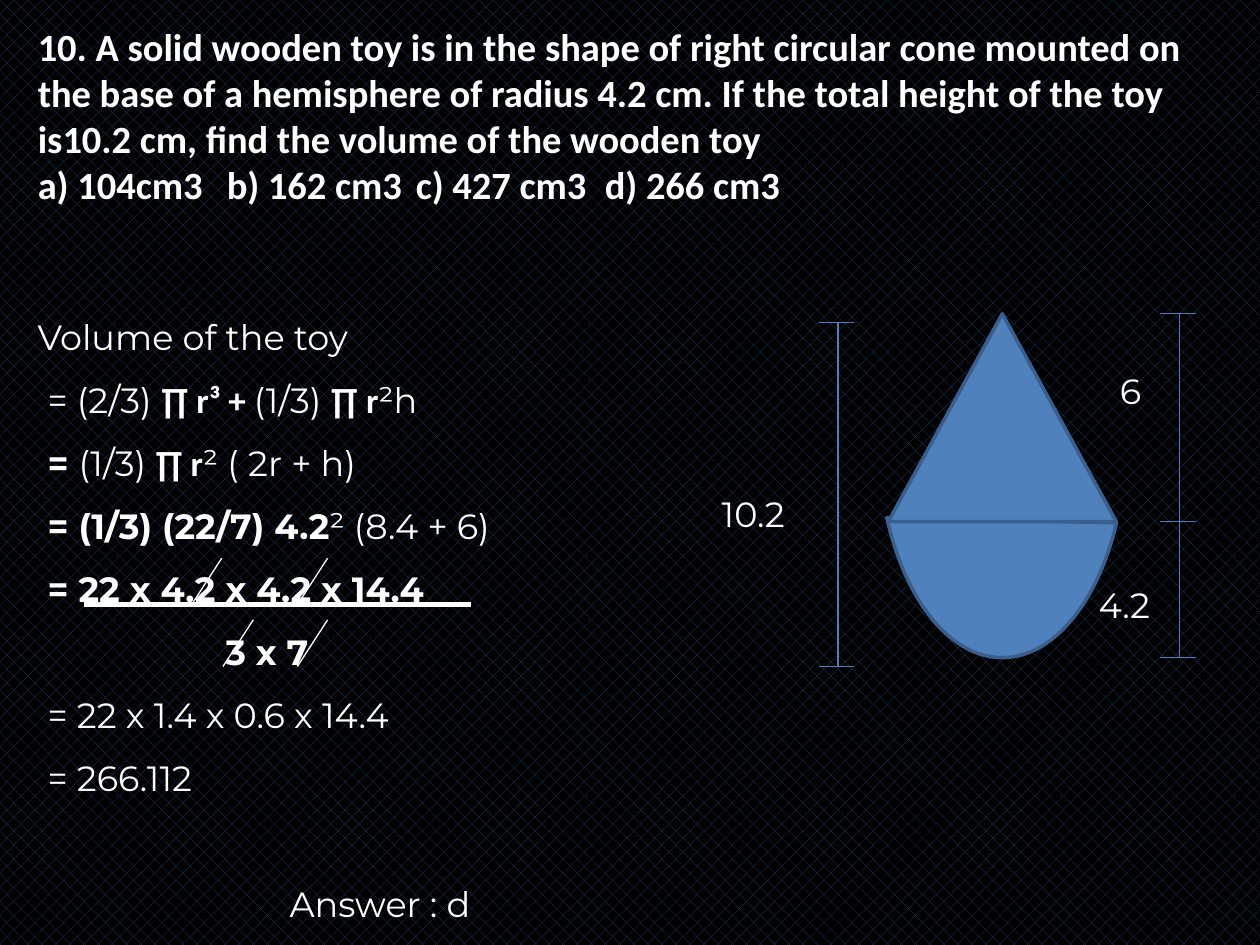
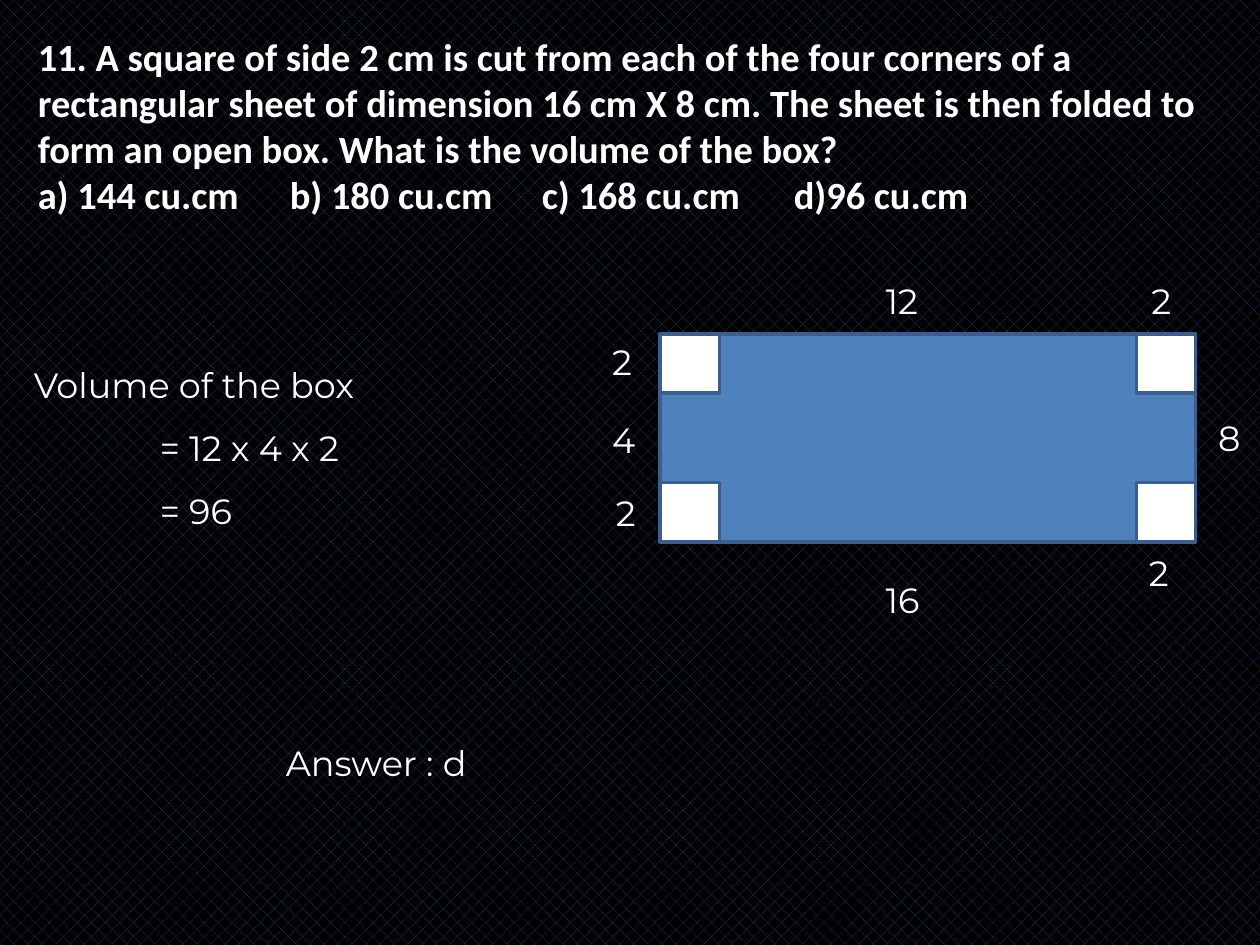
from dataclasses import dataclass
from itertools import product

from lxml import etree
from pptx import Presentation
from pptx.dml.color import RGBColor
from pptx.enum.dml import MSO_PATTERN
from pptx.enum.shapes import MSO_CONNECTOR, MSO_SHAPE
from pptx.enum.text import MSO_ANCHOR, MSO_AUTO_SIZE, PP_ALIGN
from pptx.oxml.ns import qn
from pptx.util import Inches, Pt

WHITE, BLACK, NAVY = "FFFFFF", "000000", "1F497D"
BLUE, OUTLINE, MEASURE = "4F81BD", "3A5F8C", "4B7EBC"
TITLE_FONT, BODY_FONT = "Calibri", "Montserrat"
TITLE_ONLY = 5
BOLD = dict(bold=True)
SYMBOL = dict(font=TITLE_FONT, bold=True)


@dataclass
class Step:
    """A line of text: its (text, format) runs, indent in inches, space before in points."""
    runs: list
    indent: float = 0
    before: float = 0


def step(text, indent=0, before=0, **style):
    return Step([(text, style)], indent, before)


def rgb(colour):
    return RGBColor.from_string(colour)


def inches(*values):
    return [Inches(value) for value in values]


def write(frame, steps, size=20, font=BODY_FONT, bold=False, spacing=None):
    frame.word_wrap = True
    frame.vertical_anchor = MSO_ANCHOR.TOP
    for i, line in enumerate(steps):
        paragraph = frame.paragraphs[0] if i == 0 else frame.add_paragraph()
        paragraph.alignment = PP_ALIGN.LEFT
        paragraph.line_spacing = spacing
        if line.indent:
            paragraph._p.get_or_add_pPr().set("marL", str(Inches(line.indent)))
        if line.before:
            paragraph.space_before = Pt(line.before)
        for text, style in line.runs:
            run = paragraph.add_run()
            run.text = text
            run.font.size = Pt(size)
            run.font.name = style.get("font", font)
            run.font.bold = style.get("bold", bold)
            run.font.color.rgb = rgb(WHITE)


def add_text(slide, box, steps, **style):
    frame = slide.shapes.add_textbox(*inches(*box)).text_frame
    write(frame, steps, **style)
    frame.auto_size = MSO_AUTO_SIZE.SHAPE_TO_FIT_TEXT


def add_labels(slide, left, top, labels):
    """Place number labels given as (text, x, y, width) from the figure's corner."""
    for text, x, y, width in labels:
        add_text(slide, (left + x, top + y, width, 0.44), [step(text)])


def add_solid(slide, preset, box, fill=BLUE):
    solid = slide.shapes.add_shape(preset, *inches(*box))
    solid.shadow.inherit = False
    solid.fill.solid()
    solid.fill.fore_color.rgb = rgb(fill)
    solid.line.color.rgb = rgb(OUTLINE)
    solid.line.width = Pt(2)
    return solid


def add_line(slide, x1, y1, x2, y2, colour=WHITE, width=0.75):
    line = slide.shapes.add_connector(MSO_CONNECTOR.STRAIGHT, *inches(x1, y1, x2, y2))
    line.line.color.rgb = rgb(colour)
    line.line.width = Pt(width)
    etree.SubElement(line._element.spPr, qn("a:effectLst"))


def add_question(prs, top, question, options):
    slide = prs.slides.add_slide(prs.slide_layouts[TITLE_ONLY])
    title = slide.shapes.title
    title.left, title.top, title.width, title.height = inches(0.2, top, 9.61, 1.58)
    write(title.text_frame, [step(question), step("\t".join(options))],
          size=22, font=TITLE_FONT, bold=True)
    title.text_frame.auto_size = MSO_AUTO_SIZE.NONE
    return slide


def add_dimension(slide, x, levels):
    """Draw a vertical measuring line with a tick at each level."""
    add_line(slide, x, levels[0], x, levels[-1], MEASURE)
    for y in levels:
        add_line(slide, x - 0.15, y, x + 0.13, y, MEASURE)


def add_toy(slide, left, top):
    cone_height, toy_height = 1.65, 2.73
    bowl = add_solid(slide, MSO_SHAPE.CHORD, (left + 1.34, top - 0.78, 1.97, 3.51))
    bowl.adjustments[0], bowl.adjustments[1] = 22.24, 86.94
    add_solid(slide, MSO_SHAPE.ISOSCELES_TRIANGLE, (left + 1.42, top, 1.81, cone_height))
    add_dimension(slide, left + 3.73, [top, top + cone_height, top + toy_height])
    add_dimension(slide, left + 1.02, [top + 0.07, top + 0.07 + toy_height])
    add_labels(slide, left, top, [
        ("10.2", 0, 1.37, 0.86), ("4.2", 2.99, 2.09, 0.69), ("6", 3.16, 0.39, 0.43)])


def add_toy_solution(slide, left, top):
    inset = 0.08
    add_text(slide, (left, top, 4.8, 5.15), [
        step("Volume of the toy"),
        Step([("= (2/3) ", {}), ("∏ r³ + ", SYMBOL), ("(1/3) ", {}),
              ("∏ r", SYMBOL), ("²h", {})], inset),
        Step([("= ", BOLD), ("(1/3) ", {}), ("∏ r", SYMBOL), ("² ( 2r + h)", {})], inset),
        Step([("= (1/3) (22/7) 4.2", BOLD), ("² (8.4 + 6)", {})], inset),
        step("= 22 x 4.2 x 4.2 x 14.4", inset, bold=True),
        step("3 x 7", 1.49, bold=True),
        step("= 22 x 1.4 x 0.6 x 14.4", inset),
        step("= 266.112", inset),
        step("Answer : d", 2, before=36),
    ], spacing=1.5)
    add_line(slide, left + 0.47, top + 2.51, left + 3.54, top + 2.51, width=3)
    for x, y in [(1.56, 2.14), (2.4, 2.14), (1.81, 2.63), (2.4, 2.63)]:
        add_line(slide, left + x, top + y, left + x - 0.24, top + y + 0.37)


def add_sheet(slide, left, top):
    width, height, cut = 4.25, 1.65, 0.47
    add_solid(slide, MSO_SHAPE.RECTANGLE, (left, top, width, height))
    for x, y in product((0, width - cut), (0, height - cut)):
        add_solid(slide, MSO_SHAPE.RECTANGLE, (left + x, top + y, cut, cut), WHITE)
    add_labels(slide, left, top, [
        ("12", 1.69, -0.48, 0.59), ("2", 3.8, -0.48, 0.43),
        ("2", -0.48, 0, 0.43), ("4", -0.48, 0.62, 0.43), ("2", -0.45, 1.2, 0.43),
        ("8", 4.33, 0.61, 0.43), ("2", 3.78, 1.68, 0.43), ("16", 1.69, 1.89, 0.59)])


def add_box_solution(slide, left, top):
    add_text(slide, (left, top, 4.28, 3.64), [
        step("Volume of the box"),
        step("= 12 x 4 x 2", 1),
        step("= 96", 1),
        step("Answer : d", 2, before=108),
    ], spacing=1.5)


def main():
    prs = Presentation()
    prs.slide_width, prs.slide_height = inches(10, 7.5)
    backdrop = prs.slide_master.background.fill
    backdrop.patterned()
    backdrop.pattern = MSO_PATTERN.PERCENT_25
    backdrop.fore_color.rgb = rgb(NAVY)
    backdrop.back_color.rgb = rgb(BLACK)

    toy = add_question(
        prs, 0.13,
        "10. A solid wooden toy is in the shape of right circular cone mounted on the base "
        "of a hemisphere of radius 4.2 cm. If the total height of the toy is10.2 cm, "
        "find the volume of the wooden toy",
        ["a) 104cm3", "b) 162 cm3", "c) 427 cm3", "d) 266 cm3"])
    add_toy(toy, 5.63, 2.49)
    add_toy_solution(toy, 0.2, 2.29)

    sheet = add_question(
        prs, 0.21,
        "11. A square of side 2 cm is cut from each of the four corners of a rectangular "
        "sheet of dimension 16 cm X 8 cm. The sheet is then folded to form an open box. "
        "What is the volume of the box?",
        ["a) 144 cu.cm", "b) 180 cu.cm", "c) 168 cu.cm", "d)96 cu.cm"])
    add_sheet(sheet, 5.24, 2.65)
    add_box_solution(sheet, 0.17, 2.67)

    prs.save("out.pptx")


if __name__ == "__main__":
    main()
